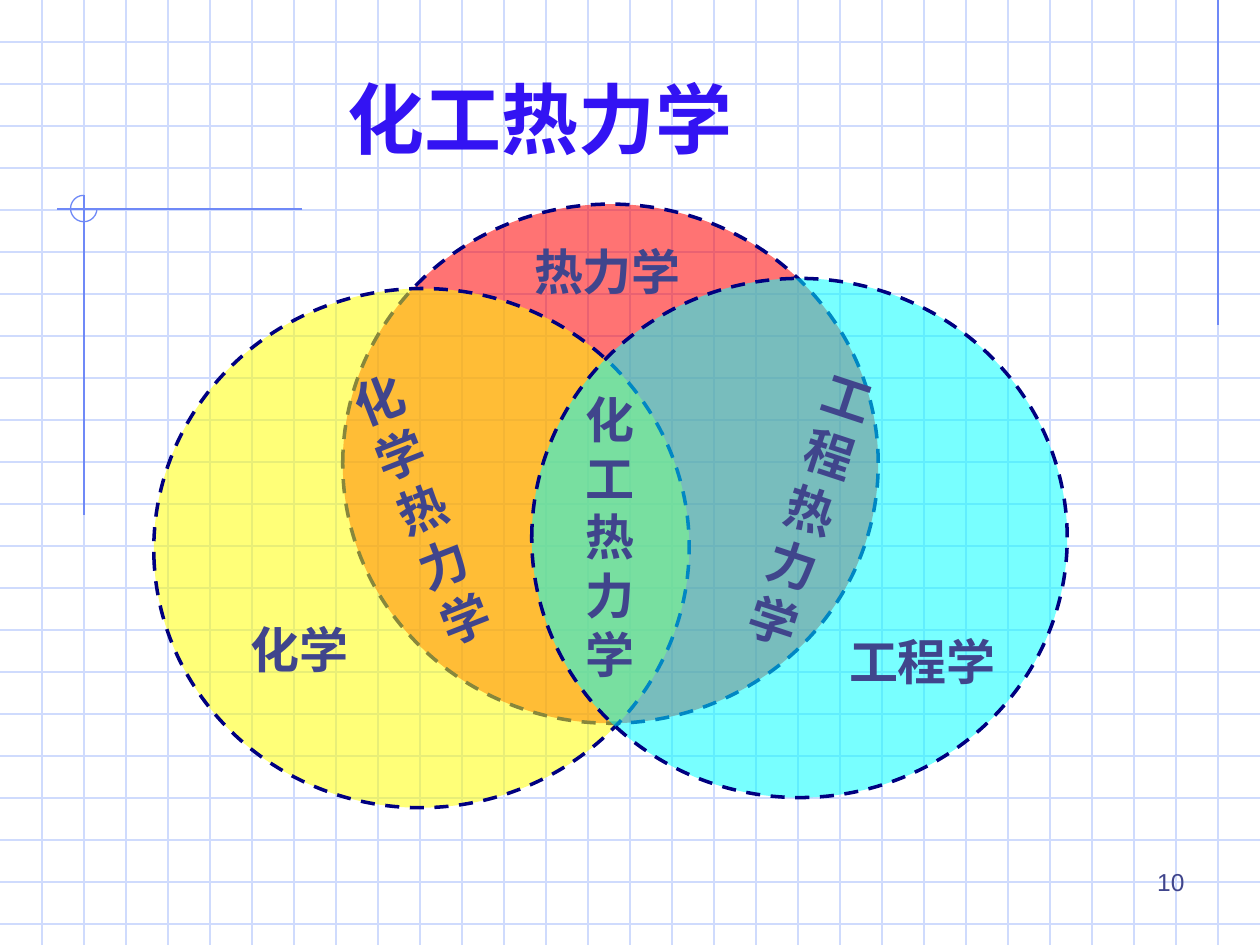
from typing import NamedTuple

from lxml.etree import SubElement
from pptx import Presentation
from pptx.dml.color import RGBColor
from pptx.enum.dml import MSO_LINE_DASH_STYLE as Dash
from pptx.enum.shapes import MSO_AUTO_SHAPE_TYPE as Preset, MSO_CONNECTOR as Connector
from pptx.enum.text import MSO_ANCHOR as Anchor, MSO_AUTO_SIZE as AutoSize, PP_ALIGN as Align
from pptx.oxml.ns import qn
from pptx.util import Inches, Pt

GRID_BLUE = RGBColor(0xCF, 0xDB, 0xFD)
ACCENT_BLUE = RGBColor(0x6F, 0x89, 0xF7)
NAVY = RGBColor(0x00, 0x00, 0x80)
TEXT_BLUE = RGBColor(0x40, 0x45, 0x8C)
TITLE_BLUE = RGBColor(0x33, 0x13, 0xF3)
RED = RGBColor(0xFF, 0x00, 0x00)
YELLOW = RGBColor(0xFF, 0xFF, 0x00)
CYAN = RGBColor(0x00, 0xFF, 0xFF)

FONT = "Arial"
COLUMNS, ROWS = 30, 22.5
CELL = Inches(10) / COLUMNS
CIRCLE_SIZE = (12.75, 12.36)


class Frame(NamedTuple):
    column: float
    row: float
    columns: float
    rows: float


class Circle(NamedTuple):
    column: float
    row: float
    color: RGBColor
    opacity: int
    rotation: float = 0


class Label(NamedTuple):
    text: str
    frame: Frame
    wrap: bool = False
    rotation: float = 0
    size: int = 28
    bold: bool = True
    align: Align = Align.LEFT


ACCENT_LINES = [(29, 0, 29, 7.74), (7.2, 4.98, 1.35, 4.98), (2, 4.65, 2, 12.27)]
ACCENT_ARC = Frame(1.68, 4.65, 0.63, 0.63)
TITLE_FRAME = Frame(7.98, 1.56, 12.03, 2.52)

CIRCLES = [
    Circle(8.16, 4.86, RED, 55),
    Circle(3.66, 6.87, YELLOW, 53, 356.2),
    Circle(12.66, 6.63, CYAN, 53),
]

LABELS = [
    Label("10", Frame(21.51, 20.49, 6.99, 1.56), True, size=14, bold=False, align=Align.RIGHT),
    Label("热力学", Frame(12.42, 5.61, 4.08, 1.71)),
    Label("化学", Frame(5.67, 14.61, 2.91, 1.71)),
    Label("工程学", Frame(19.92, 14.88, 4.08, 1.71)),
    Label("工程热力学", Frame(18.42, 8.55, 2.25, 7.32), True, 18.3),
    Label("化学热力学", Frame(9.15, 8.37, 2.25, 7.32), True, 338.5),
    Label("化工\n热力学", Frame(13.65, 9.12, 2.49, 7.32), True),
]


def cells(*counts: float) -> list[int]:
    return [round(count * CELL) for count in counts]


def draw_line(page, ends: tuple, color: RGBColor) -> None:
    line = page.shapes.add_connector(Connector.STRAIGHT, *cells(*ends))
    line.line.color.rgb = color
    line.line.width = Pt(0.75)
    SubElement(line._element.spPr, qn("a:effectLst"))


def draw_arc(page, frame: Frame) -> None:
    arc = page.shapes.add_shape(Preset.ARC, *cells(*frame))
    arc.adjustments[0], arc.adjustments[1] = 0, 162
    arc.shadow.inherit = False
    arc.fill.background()
    arc.line.color.rgb = ACCENT_BLUE
    arc.line.width = Pt(0.75)


def draw_circle(page, circle: Circle) -> None:
    oval = page.shapes.add_shape(
        Preset.OVAL, *cells(circle.column, circle.row, *CIRCLE_SIZE))
    oval.rotation = circle.rotation
    oval.shadow.inherit = False
    oval.fill.solid()
    oval.fill.fore_color.rgb = circle.color
    color = oval._element.spPr.find(f"{qn('a:solidFill')}/{qn('a:srgbClr')}")
    SubElement(color, qn("a:alpha"), val=str(circle.opacity * 1000))
    oval.line.color.rgb = NAVY
    oval.line.width = Pt(2)
    oval.line.dash_style = Dash.DASH


def write_text(box, text: str, size: int, color: RGBColor, bold: bool, align: Align) -> None:
    frame = box.text_frame
    frame.text = text
    frame.vertical_anchor = Anchor.TOP
    frame.auto_size = AutoSize.NONE
    for para in frame.paragraphs:
        para.alignment = align
        para.font.name = FONT
        para.font.size = Pt(size)
        para.font.bold = bold
        para.font.color.rgb = color


def draw_label(page, label: Label) -> None:
    box = page.shapes.add_textbox(*cells(*label.frame))
    box.rotation = label.rotation
    write_text(box, label.text, label.size, TEXT_BLUE, label.bold, label.align)
    box.text_frame.word_wrap = label.wrap


def draw_title(page, text: str, frame: Frame) -> None:
    title = page.shapes.title
    title.left, title.top, title.width, title.height = cells(*frame)
    write_text(title, text, 44, TITLE_BLUE, True, Align.LEFT)
    page.shapes._spTree.append(title._element)


def main() -> None:
    deck = Presentation()
    deck.slide_width, deck.slide_height = cells(COLUMNS, ROWS)
    page = deck.slides.add_slide(deck.slide_layouts[5])
    for row in range(1, 23):
        draw_line(page, (0, row, COLUMNS, row), GRID_BLUE)
    for column in range(1, COLUMNS):
        draw_line(page, (column, 0, column, ROWS), GRID_BLUE)
    for ends in ACCENT_LINES:
        draw_line(page, ends, ACCENT_BLUE)
    draw_arc(page, ACCENT_ARC)
    for circle in CIRCLES:
        draw_circle(page, circle)
    for label in LABELS:
        draw_label(page, label)
    draw_title(page, "化工热力学", TITLE_FRAME)
    deck.save("out.pptx")


if __name__ == "__main__":
    main()
